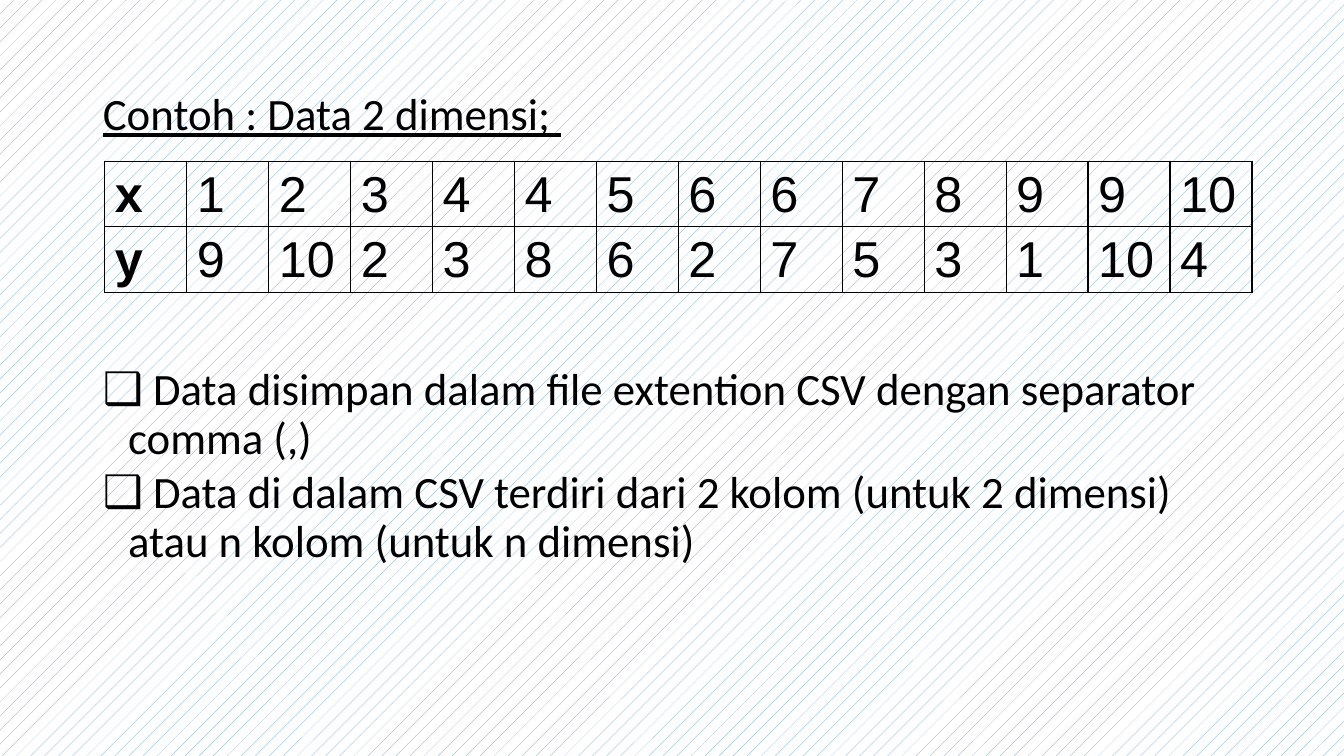
import pptx
import pptx.dml.color
import pptx.enum.dml
import pptx.enum.text
import pptx.oxml
import pptx.oxml.ns
import pptx.util
from pptx.util import Inches

BLACK = pptx.dml.color.RGBColor(0x00, 0x00, 0x00)
WHITE = pptx.dml.color.RGBColor(0xFF, 0xFF, 0xFF)
BLUE = pptx.dml.color.RGBColor(0x5B, 0x9B, 0xD5)

HEADING = "Contoh : Data 2 dimensi; "
BULLETS = [
    " Data disimpan dalam file extention CSV dengan separator comma (,)",
    " Data di dalam CSV terdiri dari 2 kolom (untuk 2 dimensi) atau n kolom (untuk n dimensi)",
]
POINTS = [
    ["x", 1, 2, 3, 4, 4, 5, 6, 6, 7, 8, 9, 9, 10],
    ["y", 9, 10, 2, 3, 8, 6, 2, 7, 5, 3, 1, 10, 4],
]
TABLE_WIDTH = Inches(11.38)
ROW_HEIGHT = Inches(0.65)


def add_borders(cell):
    properties = cell._tc.get_or_add_tcPr()
    for side in ("lnL", "lnR", "lnT", "lnB"):
        properties.append(pptx.oxml.parse_xml(
            f'<a:{side} {pptx.oxml.ns.nsdecls("a")} w="12700"><a:solidFill>'
            f'<a:srgbClr val="{BLACK}"/></a:solidFill></a:{side}>'))


presentation = pptx.Presentation()
presentation.slide_width = Inches(13.33)
presentation.slide_height = Inches(7.5)
slide = presentation.slides.add_slide(presentation.slide_layouts[1])

background = slide.background.fill
background.patterned()
background.pattern = pptx.enum.dml.MSO_PATTERN_TYPE.PERCENT_5
background.fore_color.rgb = BLUE
background.back_color.rgb = WHITE

# Heading and bullets share the body placeholder
title = slide.shapes.title
title.element.getparent().remove(title.element)
body = slide.placeholders[1]
body.left, body.top = Inches(0.92), Inches(0.86)
body.width, body.height = Inches(11.5), Inches(5.9)
body_frame = body.text_frame
body_frame.auto_size = pptx.enum.text.MSO_AUTO_SIZE.NONE
body_frame.word_wrap = True
body_frame.vertical_anchor = pptx.enum.text.MSO_ANCHOR.TOP
body_frame.text = "\n".join([HEADING] + BULLETS)

for index, paragraph in enumerate(body_frame.paragraphs):
    paragraph.alignment = pptx.enum.text.PP_ALIGN.LEFT
    paragraph.line_spacing = 0.9
    # The first bullet leaves room for the table above it
    paragraph.space_before = pptx.util.Pt(162 if index == 1 else 4.5)
    paragraph.font.name = "Calibri"
    paragraph.font.size = pptx.util.Pt(32)
    paragraph.font.color.rgb = BLACK
    paragraph.font.underline = index == 0
    properties = paragraph._p.get_or_add_pPr()
    properties.set("marL", str(Inches(0.25)))
    properties.set("indent", str(-Inches(0.25)))
    bullet = "<a:buNone {}/>" if index == 0 else '<a:buChar {} char="❑"/>'
    properties.insert_element_before(
        pptx.oxml.parse_xml(bullet.format(pptx.oxml.ns.nsdecls("a"))),
        "a:tabLst", "a:defRPr", "a:extLst")

# Table of x and y values
column_count = len(POINTS[0])
table = slide.shapes.add_table(
    len(POINTS), column_count, Inches(1.04), Inches(1.6),
    TABLE_WIDTH, ROW_HEIGHT * len(POINTS)).table
table.first_row = False
table.horz_banding = False
for column in table.columns:
    column.width = TABLE_WIDTH // column_count

for row_index, values in enumerate(POINTS):
    table.rows[row_index].height = ROW_HEIGHT
    for column_index, value in enumerate(values):
        cell = table.cell(row_index, column_index)
        cell.text = str(value)
        cell.margin_left = cell.margin_right = Inches(0.1)
        cell.margin_top = Inches(0.13)
        cell.margin_bottom = Inches(0.05)
        add_borders(cell)
        cell.fill.background()
        paragraph = cell.text_frame.paragraphs[0]
        paragraph.line_spacing = 0.84
        paragraph.font.name = "Arial"
        paragraph.font.size = pptx.util.Pt(36)
        paragraph.font.bold = column_index == 0
        paragraph.font.color.rgb = BLACK

presentation.save("out.pptx")
